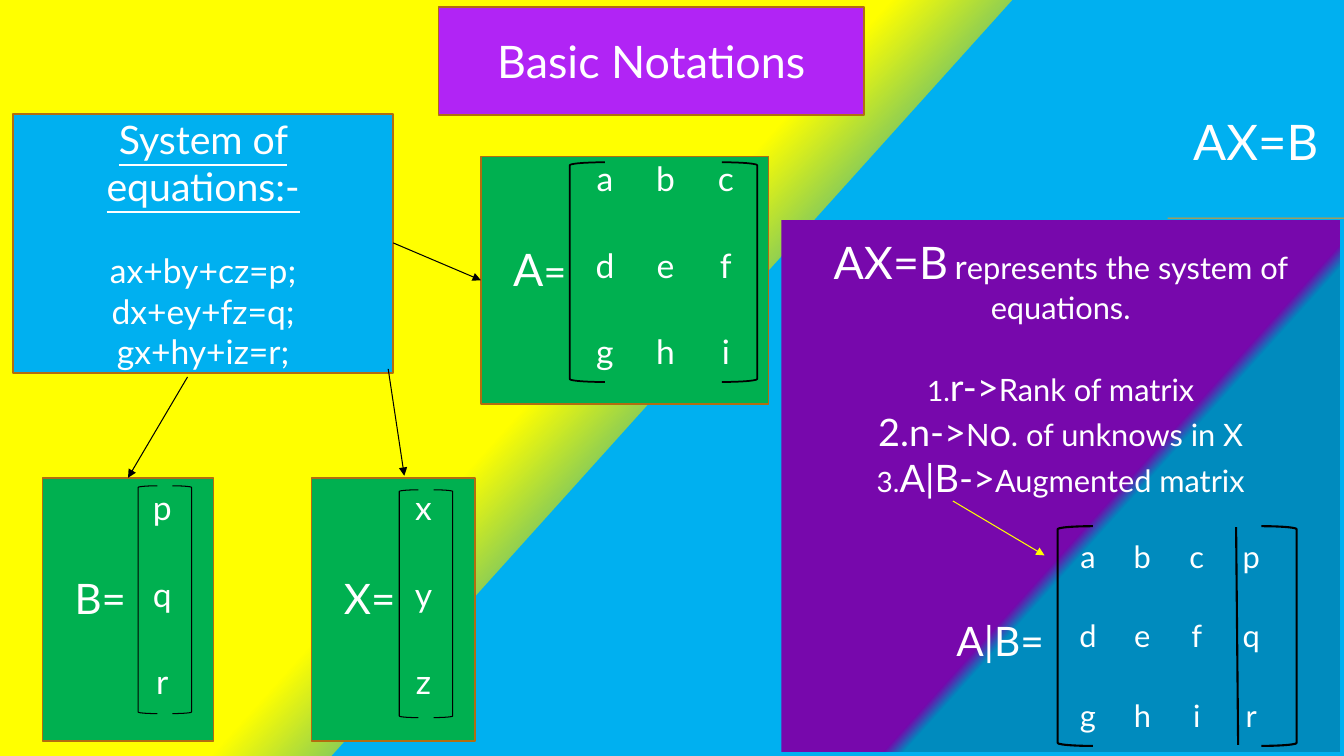
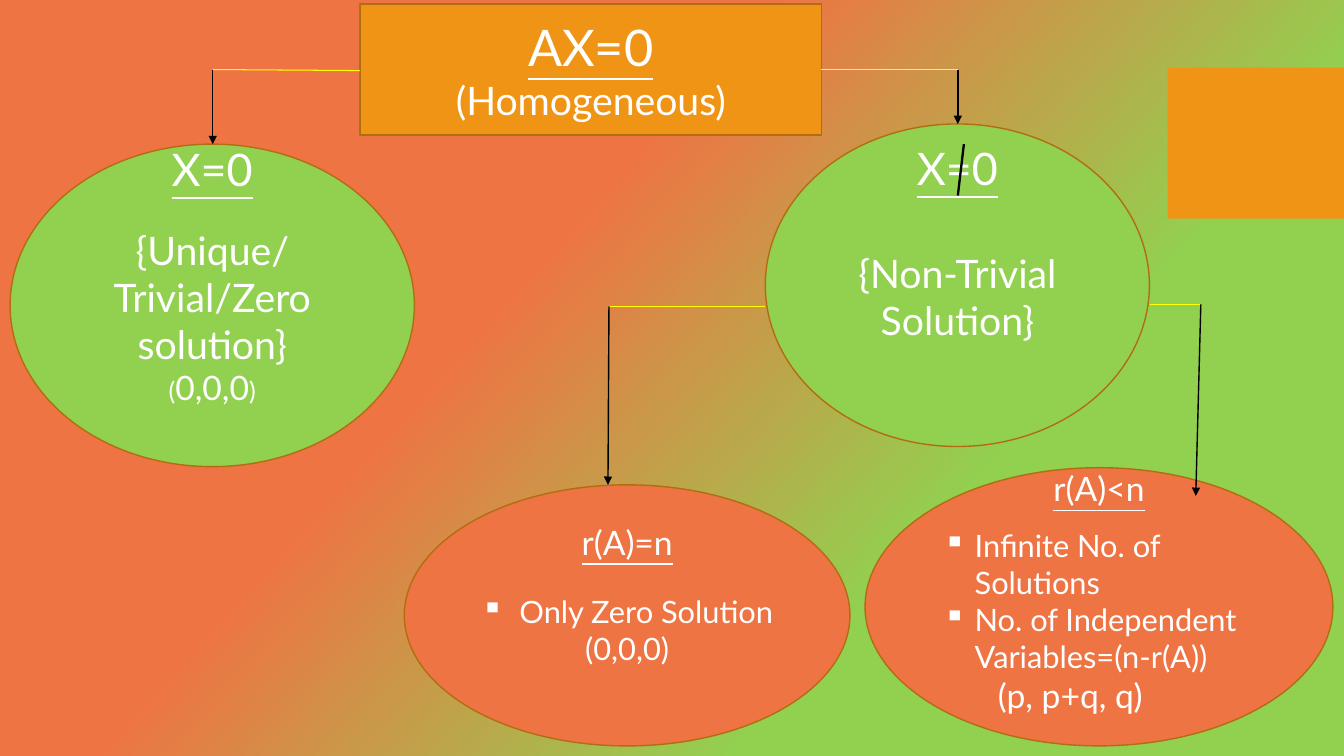
from dataclasses import dataclass

from lxml.etree import SubElement
from pptx import Presentation
from pptx.dml.color import RGBColor
from pptx.enum.shapes import MSO_CONNECTOR, MSO_SHAPE
from pptx.enum.text import MSO_ANCHOR, MSO_AUTO_SIZE, PP_ALIGN
from pptx.oxml.ns import qn
from pptx.util import Inches, Pt


# Theme shared by both slides
class Theme:
    font = "Lato"
    white, black, yellow = "FFFFFF", "000000", "FFFF00"
    sky, green, lime = "00B0F0", "00B050", "92D050"
    violet, purple, teal = "B124F5", "7708AC", "008BBE"
    orange, coral, border = "F09415", "EE7444", "B26D10"
    display, title, label, head = 36, 32, 30, 28
    term, body, small, note, tiny = 27, 24, 22, 20, 18
    angle = 42
    no_grid = "{2D5ABB26-0587-4C30-8999-92F81FD0307C}"


@dataclass
class Para:
    runs: list  # (text, size) pairs
    before: float = 0
    underline: bool = False
    align: PP_ALIGN = PP_ALIGN.CENTER
    bullet: str = ""
    indent: float = 0


def rgb(value):
    return RGBColor.from_string(value)


# Text
def fill_text(tf, paras):
    for i, para in enumerate(paras):
        p = tf.paragraphs[0] if i == 0 else tf.add_paragraph()
        p.alignment = para.align
        p.space_before = Pt(para.before)
        for text, size in para.runs:
            r = p.add_run()
            r.text = text
            r.font.name, r.font.size = Theme.font, Pt(size)
            r.font.color.rgb = rgb(Theme.white)
            r.font.underline = para.underline
        if para.indent:
            pPr = p._p.get_or_add_pPr()
            pPr.set("marL", str(Inches(para.indent)))
            if para.bullet:
                pPr.set("indent", str(-Inches(para.indent)))
                SubElement(pPr, qn("a:buChar")).set("char", para.bullet)


def style_frame(tf, paras, anchor=MSO_ANCHOR.MIDDLE, **margins):
    tf.word_wrap = True
    tf.auto_size = MSO_AUTO_SIZE.NONE
    tf.vertical_anchor = anchor
    for side in ("left", "right", "top", "bottom"):
        default = 0.1 if side in ("left", "right") else 0.05
        setattr(tf, f"margin_{side}", Inches(margins.get(side, default)))
    fill_text(tf, paras)


# Fills and shapes
def gradient(owner, fill, stops):
    fill.gradient()
    fill.gradient_angle = 360 - Theme.angle
    gs_list = owner.element.find(".//" + qn("a:gsLst"))
    for gs in list(gs_list):
        gs_list.remove(gs)
    for percent, color in stops:
        gs = SubElement(gs_list, qn("a:gs"))
        gs.set("pos", str(percent * 1000))
        SubElement(gs, qn("a:srgbClr")).set("val", color)


def paint(sp, color, line=None, width=1):
    if color:
        sp.fill.solid()
        sp.fill.fore_color.rgb = rgb(color)
    else:
        sp.fill.background()
    if line:
        sp.line.color.rgb = rgb(line)
        sp.line.width = Pt(width)
    else:
        sp.line.fill.background()


def shape(s, kind, box, color, line=None, width=1):
    sp = s.shapes.add_shape(kind, *map(Inches, box))
    sp.shadow.inherit = False
    paint(sp, color, line, width)
    return sp


def text_shape(s, kind, box, color, paras, line=Theme.border, **frame):
    sp = shape(s, kind, box, color, line)
    style_frame(sp.text_frame, paras, **frame)
    return sp


def add_title(s, box, color, paras):
    sp = s.shapes.title
    sp.left, sp.top, sp.width, sp.height = map(Inches, box)
    paint(sp, color, Theme.border)
    style_frame(sp.text_frame, paras)


def line(s, start, end, color=Theme.black, width=0.75, arrow=False):
    cn = s.shapes.add_connector(MSO_CONNECTOR.STRAIGHT, *map(Inches, start + end))
    cn.line.color.rgb = rgb(color)
    cn.line.width = Pt(width)
    spPr = cn.element.spPr
    if arrow:
        SubElement(spPr.find(qn("a:ln")), qn("a:tailEnd")).set("type", "triangle")
    SubElement(spPr, qn("a:effectLst"))


# Matrix entries, centred on a regular grid
def matrix(s, rows, first, pitch, size):
    (x, y), (dx, dy) = first, pitch
    count = len(rows[0])
    box = (x - dx / 2, y - dy / 2, dx * count, dy * len(rows))
    table = s.shapes.add_table(len(rows), count, *map(Inches, box)).table
    table.first_row = table.horz_banding = False
    table._tbl.tblPr.find(qn("a:tableStyleId")).text = Theme.no_grid
    for i, row in enumerate(rows):
        for j, entry in enumerate(row):
            cell = table.cell(i, j)
            cell.fill.background()
            cell.vertical_anchor = MSO_ANCHOR.MIDDLE
            cell.margin_left = cell.margin_right = 0
            cell.margin_top = cell.margin_bottom = 0
            fill_text(cell.text_frame, [Para([(entry, size)])])


def brackets(s, left, right, top, size, width):
    for kind, x in ((MSO_SHAPE.LEFT_BRACKET, left), (MSO_SHAPE.RIGHT_BRACKET, right)):
        shape(s, kind, (x, top) + size, None, Theme.black, width)


def matrix_card(s, box, label):
    text_shape(s, MSO_SHAPE.RECTANGLE, box, Theme.green,
               [Para(label, align=PP_ALIGN.LEFT)], left=0.32, bottom=0.28)


# Slides
def new_slide(prs, stops):
    s = prs.slides.add_slide(prs.slide_layouts[5])
    gradient(s, s.background.fill, stops)
    return s


def add_corner_block(prs, s):
    sp = shape(s, MSO_SHAPE.RECTANGLE, (11.58, 0.67, 1.75, 1.5), Theme.orange)
    prs.slide_layouts[5].shapes.element.append(sp.element)


def notations_slide(prs):
    t = Theme
    rect = MSO_SHAPE.RECTANGLE
    s = new_slide(prs, [(44, t.yellow), (50, t.lime), (50, t.sky)])
    add_corner_block(prs, s)
    add_title(s, (4.35, 0.07, 4.22, 1.07), t.violet,
              [Para([("Basic Notations", t.title)])])

    # System of equations
    equations = ["ax+by+cz=p;", "dx+ey+fz=q;", "gx+hy+iz=r;"]
    text_shape(s, rect, (0.13, 1.13, 3.77, 2.57), t.sky,
               [Para([("System of equations:-", t.head)], underline=True)]
               + [Para([(eq, t.body)], before=0 if i else 29)
                  for i, eq in enumerate(equations)])

    # Matrices A, X and B
    matrix_card(s, (4.77, 1.55, 2.85, 2.46), [("A", t.title), ("=", t.head)])
    brackets(s, 5.65, 7.16, 1.61, (0.35, 2.18), 1.25)
    matrix(s, ["abc", "def", "ghi"], (6, 1.77), (0.6, 0.86), t.body)
    for name, entries, left, width, top in (("X", "xyz", 3.09, 1.62, 4.86),
                                            ("B", "pqr", 0.42, 1.7, 4.82)):
        matrix_card(s, (left, 4.74, width, 2.61), [(name + "=", t.label)])
        bracket = left + width - 0.75
        brackets(s, bracket, bracket + 0.34, top, (0.19, 2.26), 0.75)
        matrix(s, entries, (bracket + 0.24, 5.04), (0.3, 0.86), t.body)

    # Meaning of AX=B
    panel = text_shape(s, rect, (7.75, 2.18, 5.54, 5.28), t.purple, [
        Para([("AX=B", t.title), (" ", t.tiny), ("r", t.body),
              ("epresents the system of equations.", t.small)]),
        Para([("1.", t.note), ("r->", t.term), ("Rank of matrix", t.small)], before=27),
        Para([("2.n->", t.term), ("N", t.small), ("o", t.term),
              (". of unknows in X", t.small)]),
        Para([("3.", t.note), ("A|B->", t.term), ("Augmented matrix", t.small)]),
    ], line=None, anchor=MSO_ANCHOR.TOP, top=0.15)
    gradient(panel, panel.fill, [(56, t.purple), (58, t.teal)])
    text_shape(s, rect, (11.57, 0.64, 1.77, 1.52), t.sky,
               [Para([("AX=B", t.display - 1)])], line=None)

    # Augmented matrix
    label = s.shapes.add_textbox(*map(Inches, (9.32, 6.05, 1.2, 0.6)))
    style_frame(label.text_frame, [Para([("A|B=", t.label - 1)])], left=0, right=0)
    brackets(s, 10.49, 12.51, 5.22, (0.35, 2.18), 1.5)
    matrix(s, ["abcp", "defq", "ghir"], (10.79, 5.52), (0.54, 0.79), t.small)
    line(s, (12.26, 5.23), (12.28, 7.39), width=1.5)

    # Arrows
    line(s, (9.45, 4.97), (10.36, 5.51), t.yellow, arrow=True)
    for start, end in (((3.9, 2.41), (4.77, 2.78)),
                       ((1.86, 3.74), (1.27, 4.74)),
                       ((3.85, 3.66), (4.01, 4.72))):
        line(s, start, end, arrow=True)


def homogeneous_slide(prs):
    t = Theme
    oval, left = MSO_SHAPE.OVAL, PP_ALIGN.LEFT
    s = new_slide(prs, [(38, t.coral), (70, t.lime)])
    add_title(s, (3.57, 0.04, 4.58, 1.3), t.orange, [
        Para([("AX=0", t.display)], underline=True),
        Para([("(Homogeneous)", t.head)])])

    # Kinds of solution
    heading = Para([("X=0", t.title)], underline=True)
    text_shape(s, oval, (0.1, 1.43, 4.01, 3.2), t.lime, [
        heading,
        Para([("{Unique/Trivial/Zero solution}", t.head)], before=22),
        Para([("(", t.tiny), ("0,0,0", t.body), (")", t.tiny)])], bottom=0.66)
    text_shape(s, oval, (7.59, 1.23, 3.81, 3.2), t.lime, [
        heading,
        Para([("{Non-Trivial Solution}", t.head)], before=39)], bottom=0.9)

    # Rank conditions
    text_shape(s, oval, (4.01, 4.81, 4.42, 2.59), t.coral, [
        Para([("r(A)=n", t.body)], underline=True),
        Para([("Only Zero Solution", t.small)], before=22, bullet="▪", indent=0.38),
        Para([("(0,0,0)", t.small)])], bottom=0.47)
    text_shape(s, oval, (8.58, 4.64, 4.64, 2.76), t.coral, [
        Para([("r(A)<n", t.body)], underline=True),
        Para([("Infinite No. of Solutions", t.small)], 13, False, left, "▪", 0.31),
        Para([("No. of Independent Variables=(n-r(A))", t.small)],
             0, False, left, "▪", 0.31),
        Para([("(p, p+q, q)", t.body)], align=left, indent=0.54)], bottom=0.35)

    # Stroke that turns = into ≠
    line(s, (9.56, 1.43), (9.5, 1.94), width=1.65)

    # Branches: a yellow arm, then a black arrow down
    for start, corner, end in (((3.57, 0.7), (2.11, 0.69), (2.11, 1.43)),
                               ((8.14, 0.69), (9.5, 0.69), (9.5, 1.23)),
                               ((11.41, 3.02), (11.91, 3.02), (11.86, 4.92)),
                               ((7.59, 3.04), (6.04, 3.04), (6.03, 4.81))):
        line(s, start, corner, t.yellow)
        line(s, corner, end, width=1, arrow=True)


def main():
    prs = Presentation()
    prs.slide_width, prs.slide_height = Inches(13.33), Inches(7.5)
    notations_slide(prs)
    homogeneous_slide(prs)
    prs.save("out.pptx")


if __name__ == "__main__":
    main()
